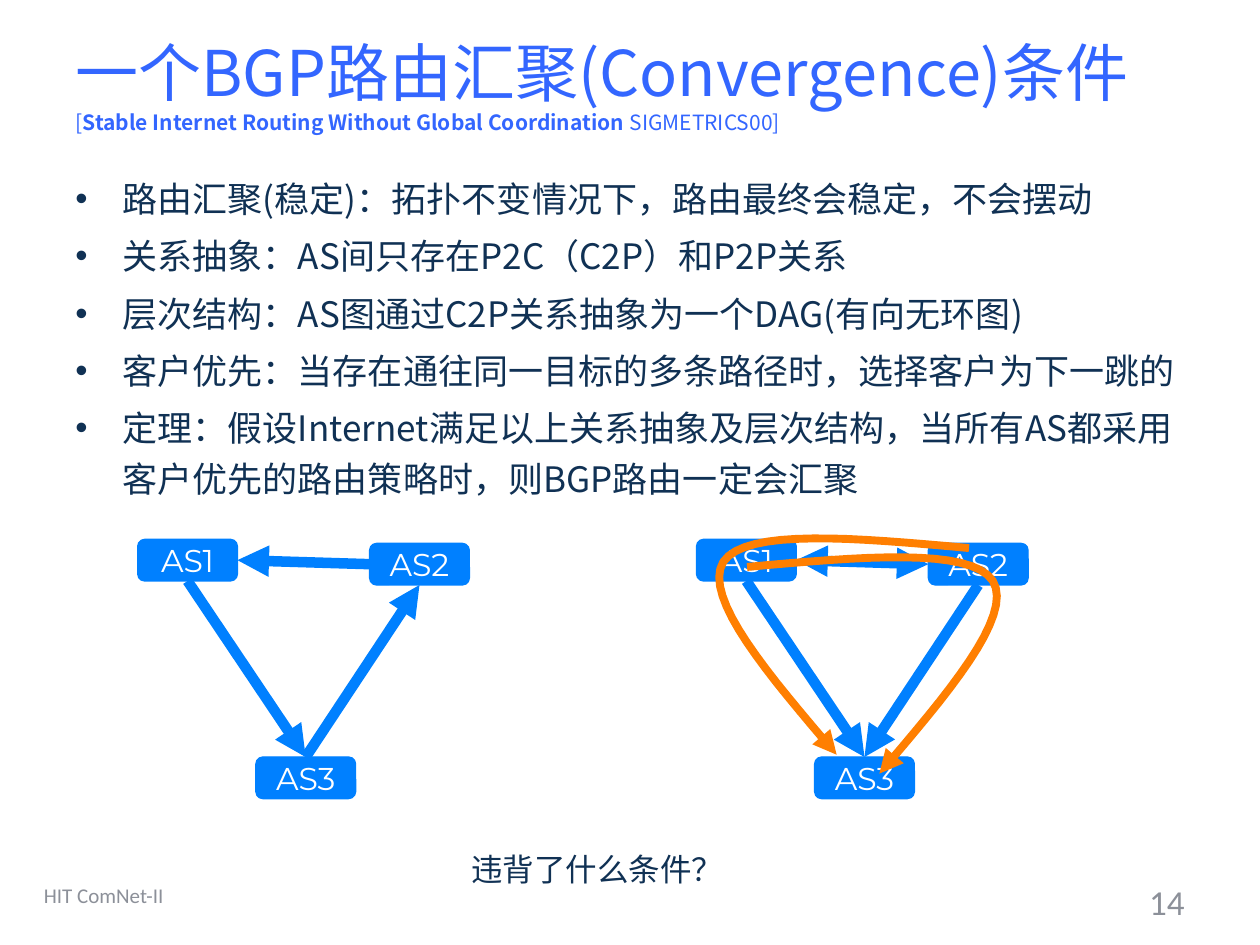
"""Build a slide on the conditions under which BGP routing converges."""
from lxml import etree
from pptx import Presentation
from pptx.dml.color import RGBColor
from pptx.enum.shapes import MSO_CONNECTOR, MSO_SHAPE
from pptx.enum.text import MSO_ANCHOR, MSO_AUTO_SIZE, PP_ALIGN
from pptx.oxml.ns import qn
from pptx.util import Pt

LEFT, CENTER, RIGHT = PP_ALIGN.LEFT, PP_ALIGN.CENTER, PP_ALIGN.RIGHT
TOP, MIDDLE = MSO_ANCHOR.TOP, MSO_ANCHOR.MIDDLE
ROUNDED, STRAIGHT = MSO_SHAPE.ROUNDED_RECTANGLE, MSO_CONNECTOR.STRAIGHT
NO_AUTOFIT = MSO_AUTO_SIZE.NONE
SITE_TOP, SITE_LEFT, SITE_BOTTOM, SITE_RIGHT = range(4)

THEME = {
    "title": RGBColor(0x33, 0x66, 0xFF),
    "ink": RGBColor(0x10, 0x31, 0x54),
    "muted": RGBColor(0x8C, 0x90, 0x99),
    "node": RGBColor(0x00, 0x80, 0xFF),
    "route": RGBColor(0xFF, 0x7F, 0x01),
    "white": RGBColor(0xFF, 0xFF, 0xFF),
    "chinese": "Noto Sans CJK SC",
    "footer": "Calibri",
    "label": "Montserrat",
    "title_size": 36,
    "body_size": 20,
    "label_size": 18,
    "small_size": 12,
}


def write_text(paragraph, text, *, size, color, font=THEME["chinese"], bold=False, align=LEFT):
    paragraph.alignment = align
    run = paragraph.add_run()
    run.text = text
    run.font.size = Pt(size)
    run.font.bold = bold
    run.font.name = font
    run.font.color.rgb = color
    east_asian = etree.Element(qn("a:ea"), typeface=font)
    run.font._element.find(qn("a:latin")).addnext(east_asian)


def style_arrow(shape, color, width, ends=("tailEnd",)):
    shape.line.color.rgb = color
    shape.line.width = Pt(width)
    line = shape.line._get_or_add_ln()
    for end in ends:
        etree.SubElement(line, qn(f"a:{end}"), type="triangle")
    if shape._element.spPr.find(qn("a:effectLst")) is None:
        etree.SubElement(shape._element.spPr, qn("a:effectLst"))


presentation = Presentation()
presentation.slide_width, presentation.slide_height = Pt(720), Pt(540)
slide = presentation.slides.add_slide(presentation.slide_layouts[5])
shapes = slide.shapes

title = shapes.title
title.left, title.top, title.width, title.height = Pt(36), Pt(3), Pt(648), Pt(90)
title.text_frame.word_wrap = True
title.text_frame.auto_size = NO_AUTOFIT
title.text_frame.vertical_anchor = MIDDLE
heading = title.text_frame.paragraphs[0]
heading.line_spacing = 1.0
write_text(heading, "一个BGP路由汇聚(Convergence)条件", size=THEME["title_size"], color=THEME["title"])
heading.add_line_break()
for text, bold in (
    ("[", False),
    ("Stable Internet Routing Without Global Coordination ", True),
    ("SIGMETRICS00]", False),
):
    write_text(heading, text, size=THEME["small_size"], color=THEME["title"], bold=bold)

body = shapes.add_textbox(Pt(36), Pt(93), Pt(648), Pt(425)).text_frame
body.word_wrap = True
POINTS = (
    "路由汇聚(稳定)：拓扑不变情况下，路由最终会稳定，不会摆动",
    "关系抽象：AS间只存在P2C（C2P）和P2P关系",
    "层次结构：AS图通过C2P关系抽象为一个DAG(有向无环图)",
    "客户优先：当存在通往同一目标的多条路径时，选择客户为下一跳的",
    "定理：假设Internet满足以上关系抽象及层次结构，当所有AS都采用客户优先的路由策略时，则BGP路由一定会汇聚",
)
for index, point in enumerate(POINTS):
    paragraph = body.add_paragraph() if index else body.paragraphs[0]
    paragraph.line_spacing = 1.2
    paragraph.space_before = Pt(4 if index else 0)
    properties = paragraph._p.get_or_add_pPr()
    properties.set("marL", str(Pt(27)))
    properties.set("indent", str(-Pt(27)))
    etree.SubElement(properties, qn("a:buFont"), typeface="Arial")
    etree.SubElement(properties, qn("a:buChar"), char="•")
    write_text(paragraph, point, size=THEME["body_size"], color=THEME["ink"])

CAPTIONS = (
    ("HIT ComNet-II", (18, 497, 228, 29), MIDDLE,
     dict(size=THEME["small_size"], color=THEME["muted"], font=THEME["footer"])),
    ("14", (516, 500.5, 168, 29), MIDDLE,
     dict(size=THEME["body_size"], color=THEME["muted"], font=THEME["footer"], align=RIGHT)),
    ("违背了什么条件？", (239.7, 482.2, 203, 29), TOP,
     dict(size=THEME["label_size"], color=THEME["ink"], align=CENTER)),
)
for text, box, anchor, text_format in CAPTIONS:
    frame = shapes.add_textbox(*map(Pt, box)).text_frame
    frame.word_wrap = True
    frame.vertical_anchor = anchor
    write_text(frame.paragraphs[0], text, **text_format)

NODES = {"AS3": (146.2, 432.6), "AS2": (211.2, 310.5), "AS1": (78.7, 308.2)}
ONE_WAY, TWO_WAY = ("tailEnd",), ("headEnd", "tailEnd")
GRAPHS = (
    (0, (
        ("AS3", SITE_TOP, "AS2", SITE_BOTTOM, ONE_WAY),
        ("AS2", SITE_LEFT, "AS1", SITE_RIGHT, ONE_WAY),
        ("AS1", SITE_BOTTOM, "AS3", SITE_TOP, ONE_WAY),
    )),
    (319.3, (
        ("AS2", SITE_BOTTOM, "AS3", SITE_TOP, ONE_WAY),
        ("AS1", SITE_RIGHT, "AS2", SITE_LEFT, TWO_WAY),
        ("AS1", SITE_BOTTOM, "AS3", SITE_TOP, ONE_WAY),
    )),
)
for offset, links in GRAPHS:
    nodes = {}
    for name, (left, top) in NODES.items():
        node = shapes.add_shape(ROUNDED, Pt(left + offset), Pt(top), Pt(57), Pt(23.8))
        node.shadow.inherit = False
        node.fill.solid()
        node.fill.fore_color.rgb = THEME["node"]
        node.line.color.rgb = THEME["node"]
        node.line.width = Pt(0.75)
        node.text_frame.word_wrap = False
        node.text_frame.vertical_anchor = MIDDLE
        write_text(node.text_frame.paragraphs[0], name, size=THEME["label_size"],
                   color=THEME["white"], font=THEME["label"], align=CENTER)
        nodes[name] = node
    for source, source_site, target, target_site, ends in links:
        connector = shapes.add_connector(STRAIGHT, 0, 0, 0, 0)
        connector.begin_connect(nodes[source], source_site)
        connector.end_connect(nodes[target], target_site)
        style_arrow(connector, THEME["node"], 6, ends)

BEZIERS = (
    ((553.7, 313.2), (489.6, 307.4), (426.2, 301.7), (413.3, 321.1)),
    ((413.3, 321.1), (401, 341.3), (439.9, 386.6), (478.1, 431.3)),
)
STEPS = 16
curve = [BEZIERS[0][0]]
for bezier in BEZIERS:
    for step in range(1, STEPS + 1):
        t = step / STEPS
        weights = ((1 - t) ** 3, 3 * t * (1 - t) ** 2, 3 * t ** 2 * (1 - t), t ** 3)
        curve.append(tuple(sum(w * p[axis] for w, p in zip(weights, bezier)) for axis in (0, 1)))

MIRROR_SUM, MIRROR_DROP = 980.6, 10.8
mirrored = [(MIRROR_SUM - x, y + MIRROR_DROP) for x, y in curve]
for route in (curve, mirrored):
    vertices = [(Pt(x), Pt(y)) for x, y in route]
    builder = shapes.build_freeform(*vertices[0])
    builder.add_line_segments(vertices[1:], close=False)
    route_shape = builder.convert_to_shape()
    route_shape.shadow.inherit = False
    route_shape.fill.background()
    style_arrow(route_shape, THEME["route"], 4.5)

presentation.save("out.pptx")
